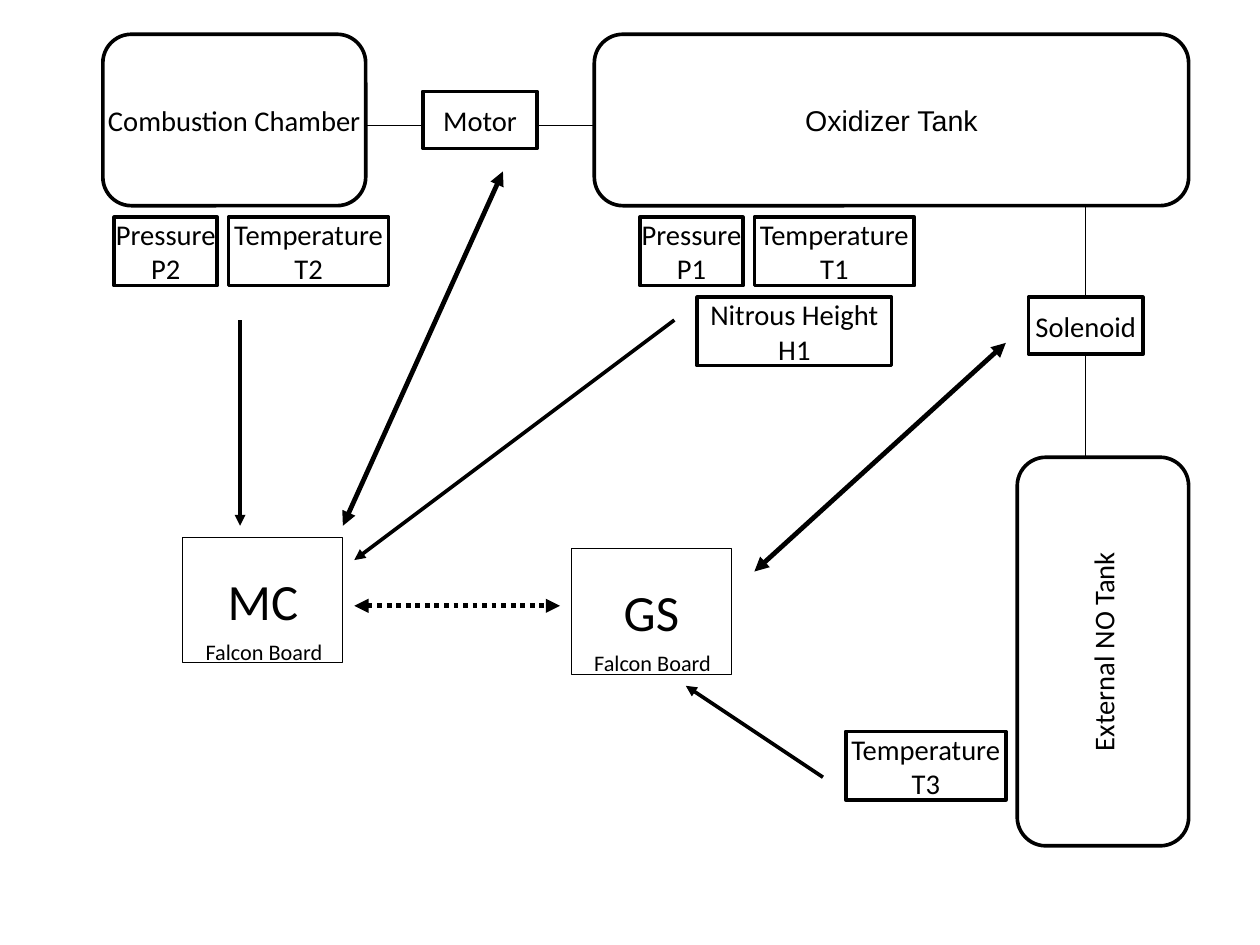
"""Build a one-slide block diagram of an oxidizer feed and its sensors."""
from lxml import etree
from pptx import Presentation
from pptx.dml.color import RGBColor
from pptx.enum.dml import MSO_LINE
from pptx.enum.shapes import MSO_CONNECTOR, MSO_SHAPE
from pptx.enum.text import MSO_ANCHOR, PP_ALIGN
from pptx.oxml.ns import qn
from pptx.util import Pt

RECTANGLE, ROUNDED = MSO_SHAPE.RECTANGLE, MSO_SHAPE.ROUNDED_RECTANGLE
STRAIGHT, DOTTED = MSO_CONNECTOR.STRAIGHT, MSO_LINE.ROUND_DOT
MIDDLE, CENTER, LEFT = MSO_ANCHOR.MIDDLE, PP_ALIGN.CENTER, PP_ALIGN.LEFT
BLACK = "000000"
GRID = 7.2
THIN, MEDIUM, THICK = 0.75, 2.3, 3


def write(shape, text, size, font="Calibri", align=CENTER, wrap=False):
    """Fill a shape with evenly formatted, vertically centred text."""
    frame = shape.text_frame
    frame.text = text
    frame.word_wrap = wrap
    frame.vertical_anchor = MIDDLE
    for paragraph in frame.paragraphs:
        paragraph.alignment = align
        paragraph.font.size = Pt(size)
        paragraph.font.name = font
        paragraph.font.color.rgb = RGBColor.from_string(BLACK)


def add_box(kind, position, text, line_width, size=18, font="Calibri"):
    """Add an outlined box; its position is in grid steps."""
    shape = slide.shapes.add_shape(kind, *[Pt(step * GRID) for step in position])
    shape.shadow.inherit = False
    shape.fill.background()
    shape.line.color.rgb = RGBColor.from_string(BLACK)
    shape.line.width = Pt(line_width)
    write(shape, text, size, font)
    return shape


presentation = Presentation()
presentation.slide_width = Pt(793.7)
presentation.slide_height = Pt(595.28)
slide = presentation.slides.add_slide(presentation.slide_layouts[6])

add_box(ROUNDED, (52, 3, 52, 15), "Oxidizer Tank", MEDIUM, font="Arial")
add_box(ROUNDED, (9, 3, 23, 15), "Combustion Chamber", MEDIUM)
external_tank = add_box(ROUNDED, (79.5, 49.5, 34, 15), "External NO Tank", MEDIUM)
external_tank.rotation = 270

for name, left, top in [("MC", 16, 47), ("GS", 50, 48)]:
    add_box(RECTANGLE, (left, top, 14, 11), name, THIN, size=32)
    label_position = (left + 1, top + 7, 14, 6)
    label = slide.shapes.add_textbox(*[Pt(step * GRID) for step in label_position])
    write(label, "Falcon Board", 14, align=LEFT, wrap=True)

parts = [
    ("Motor", 37, 8, 10, 5),
    ("Solenoid", 90, 26, 10, 5),
    ("Pressure\nP1", 56, 19, 9, 6),
    ("Temperature\nT1", 66, 19, 14, 6),
    ("Nitrous Height\nH1", 61, 26, 17, 6),
    ("Pressure\nP2", 10, 19, 9, 6),
    ("Temperature\nT2", 20, 19, 14, 6),
    ("Temperature\nT3", 74, 64, 14, 6),
]
for text, *position in parts:
    add_box(RECTANGLE, position, text, MEDIUM)

pipe, signal, control = (THIN, []), (MEDIUM, ["tailEnd"]), (THICK, ["headEnd", "tailEnd"])
links = [
    (pipe, 32, 11, 37, 11),
    (pipe, 47, 11, 52, 11),
    (pipe, 95, 26, 95, 18),
    (pipe, 95, 40, 95, 31),
    (control, 30, 46, 44, 15),
    (control, 66, 50, 88, 30),
    (signal, 59, 28, 31, 49),
    (signal, 21, 28, 21, 46),
    (signal, 72, 68, 60, 60),
    (control, 31, 53, 49, 53),
]
for (width, arrow_ends), *ends in links:
    connector = slide.shapes.add_connector(STRAIGHT, *[Pt(step * GRID) for step in ends])
    connector.line.color.rgb = RGBColor.from_string(BLACK)
    connector.line.width = Pt(width)
    properties = connector.element.spPr
    for end in arrow_ends:
        etree.SubElement(properties.find(qn("a:ln")), qn(f"a:{end}"), type="triangle")
    etree.SubElement(properties, qn("a:effectLst"))
connector.line.dash_style = DOTTED

presentation.save("out.pptx")
